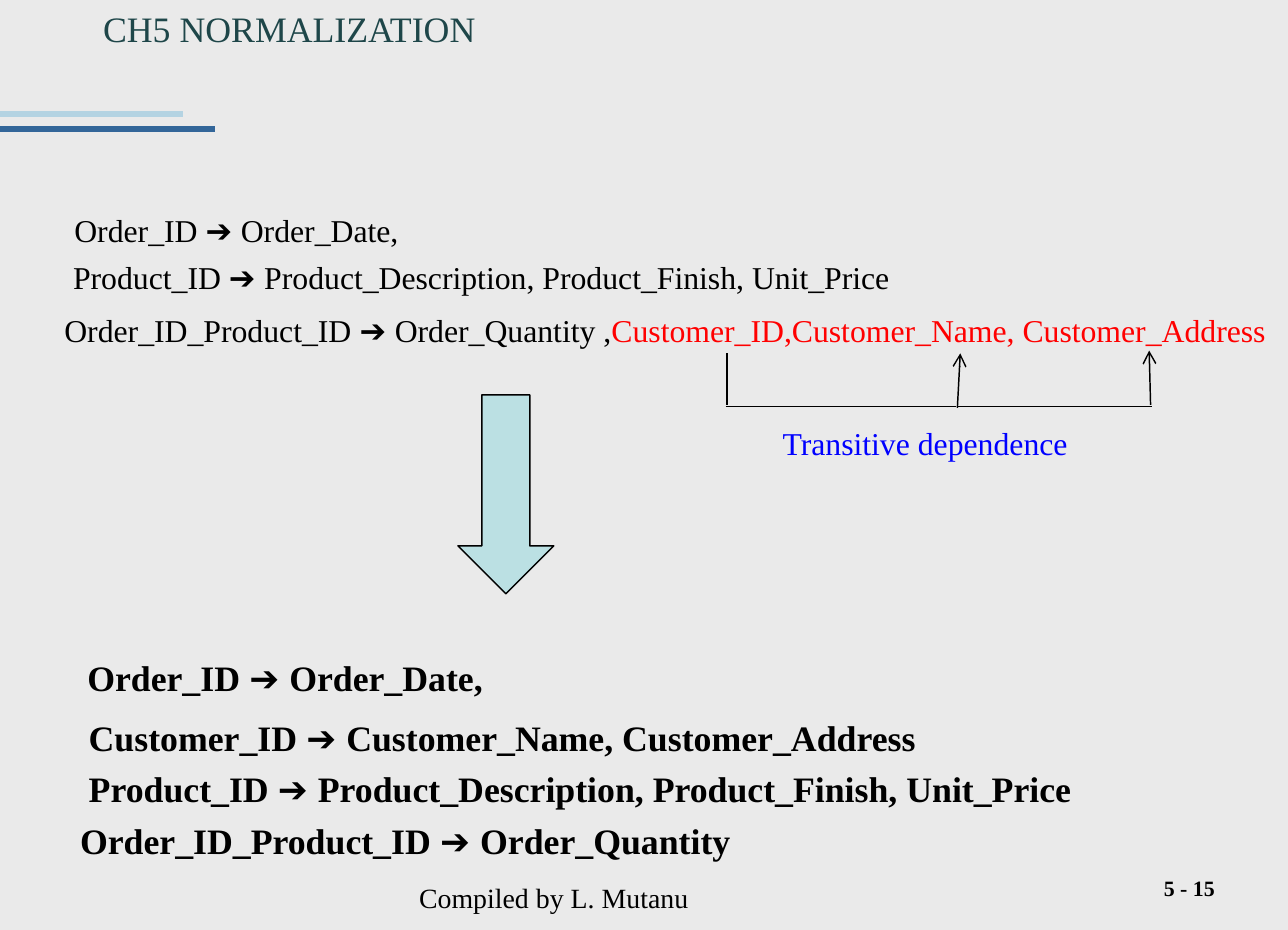
"""Build the slide on normalization and transitive dependence."""
from lxml import etree
from pptx import Presentation
from pptx.dml.color import RGBColor
from pptx.enum.shapes import MSO_CONNECTOR, MSO_SHAPE
from pptx.enum.text import MSO_ANCHOR, MSO_AUTO_SIZE, PP_ALIGN
from pptx.oxml.ns import qn
from pptx.util import Inches, Pt

LINE = MSO_CONNECTOR.STRAIGHT
DOWN = MSO_SHAPE.DOWN_ARROW
TOP = MSO_ANCHOR.TOP
FIXED = MSO_AUTO_SIZE.NONE
LEFT, RIGHT = PP_ALIGN.LEFT, PP_ALIGN.RIGHT
SERIF, SANS = "Times New Roman", "Arial"
BLACK, RED, BLUE, TEAL = "000000", "FF0000", "0000FF", "1E4649"
ARROW = "➔ "


def tint(color, value):
    color.rgb = RGBColor.from_string(value)


def write(shape, *parts, size=16, color=BLACK, bold=False, align=LEFT, pad=(0.1, 0.05)):
    frame = shape.text_frame
    frame.word_wrap = True
    frame.auto_size = FIXED
    frame.vertical_anchor = TOP
    frame.margin_left = frame.margin_right = Inches(pad[0])
    frame.margin_top = frame.margin_bottom = Inches(pad[1])
    para = frame.paragraphs[0]
    para.alignment = align
    for part in parts:
        text, hue = part if isinstance(part, tuple) else (part, color)
        run = para.add_run()
        run.text = text
        run.font.name = SANS if text == ARROW else SERIF
        run.font.size = Pt(size)
        run.font.bold = bold
        tint(run.font.color, hue)


class Board:
    def __init__(self, deck, back):
        self.slide = deck.slides.add_slide(deck.slide_layouts[5])
        self.shapes = self.slide.shapes
        fill = self.slide.background.fill
        fill.solid()
        tint(fill.fore_color, back)

    def title(self, box, text, **style):
        shape = self.shapes.title
        shape.left, shape.top, shape.width, shape.height = map(Inches, box)
        write(shape, text, **style)

    def text(self, box, *parts, **style):
        write(self.shapes.add_textbox(*map(Inches, box)), *parts, **style)

    def rule(self, left, top, width, key, rest, **style):
        self.text((left, top, width, 0.39), key + " ", ARROW, *rest, pad=(0.09, 0.04), **style)

    def line(self, start, end, color=BLACK, width=0.75, head=False):
        link = self.shapes.add_connector(LINE, *map(Inches, start + end))
        tint(link.line.color, color)
        link.line.width = Pt(width)
        if head:
            etree.SubElement(link.line._get_or_add_ln(), qn("a:tailEnd"), type="arrow")
        etree.SubElement(link._element.spPr, qn("a:effectLst"))

    def arrow(self, box, fill):
        shape = self.shapes.add_shape(DOWN, *map(Inches, box))
        shape.shadow.inherit = False
        shape.fill.solid()
        tint(shape.fill.fore_color, fill)
        tint(shape.line.color, BLACK)
        shape.line.width = Pt(0.75)


def main():
    deck = Presentation()
    deck.slide_width, deck.slide_height = Inches(9), Inches(6.5)
    board = Board(deck, "EAEAEA")

    board.line((0, 0.9), (1.5, 0.9), "336699", 3)
    board.line((0, 0.8), (1.28, 0.8), "B4D3E2", 3)
    board.title((0.62, 0, 8.06, 0.4), "CH5 NORMALIZATION", size=18, color=TEAL)
    board.text((7.73, 6.07, 0.85, 0.29), "5 - 15", size=11, bold=True, align=RIGHT, pad=(0.09, 0.04))
    board.text((2.83, 6.11, 2.2, 0.34), "Compiled by L. Mutanu", size=14)

    date = "Order_Date,"
    goods = "Product_Description, Product_Finish, Unit_Price"
    client = "Customer_Name, Customer_Address"
    before = [
        (0.43, 1.43, 2.53, "Order_ID", [date]),
        (0.42, 1.76, 5.92, "Product_ID", [goods]),
        (0.36, 2.13, 8.61, "Order_ID_Product_ID", ["Order_Quantity ,", ("Customer_ID," + client, RED)]),
    ]
    after = [
        (0.52, 4.54, 3.04, "Order_ID", [date]),
        (0.53, 4.96, 6, "Customer_ID", [client]),
        (0.53, 5.32, 7.09, "Product_ID", [goods]),
        (0.47, 5.68, 4.76, "Order_ID_Product_ID", ["Order_Quantity"]),
    ]
    for row in before:
        board.rule(*row)
    for row in after:
        board.rule(*row, size=18, bold=True)

    board.line((5.08, 2.47), (5.08, 2.83))
    board.line((5.07, 2.84), (6.68, 2.84))
    board.line((6.69, 2.85), (6.71, 2.47), head=True)
    board.line((6.69, 2.84), (8.05, 2.84))
    board.line((8.04, 2.83), (8.03, 2.45), head=True)
    board.text((5.37, 2.91, 2.79, 0.37), "Transitive dependence", color=BLUE)
    board.arrow((3.2, 2.76, 0.67, 1.39), "BBE0E3")

    deck.save("out.pptx")


if __name__ == "__main__":
    main()
